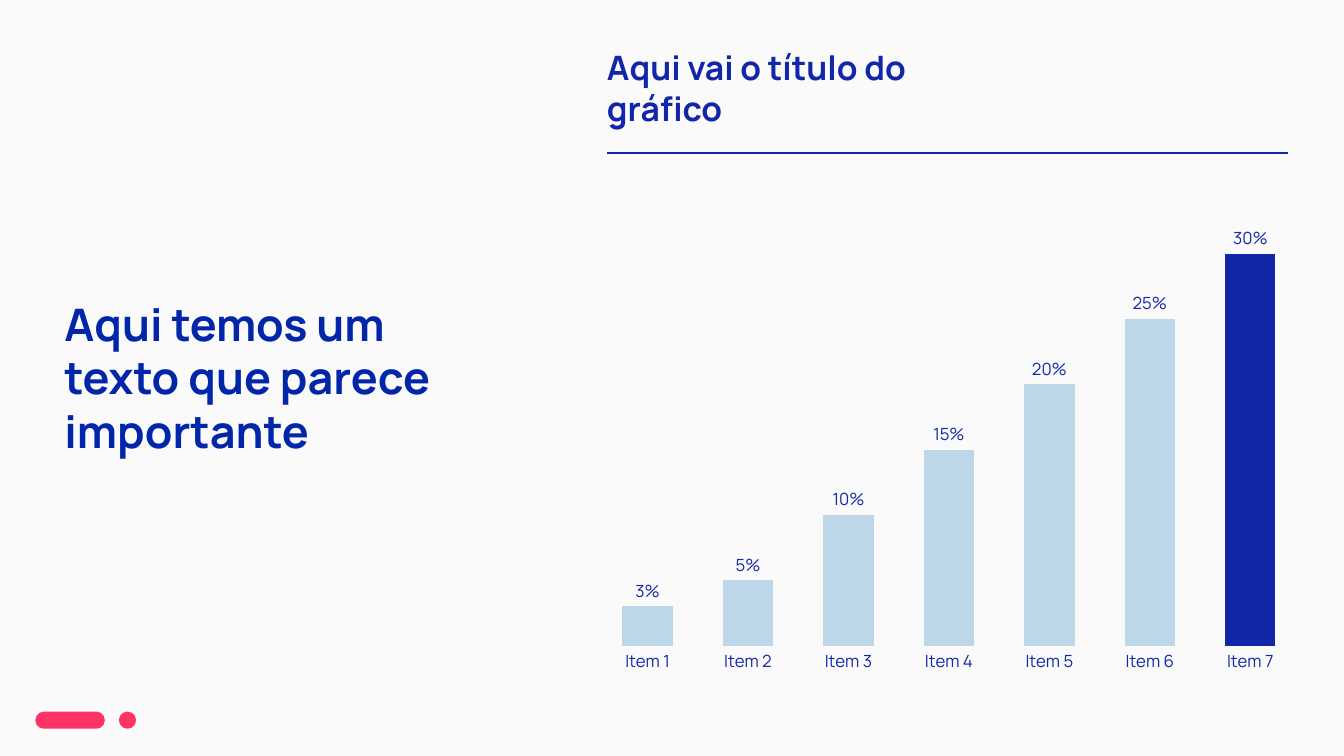
from dataclasses import dataclass

from lxml import etree
from pptx import Presentation
from pptx.chart.chart import Chart
from pptx.chart.data import CategoryChartData
from pptx.dml.color import RGBColor
from pptx.enum.chart import XL_CHART_TYPE, XL_LABEL_POSITION, XL_TICK_MARK
from pptx.enum.shapes import MSO_CONNECTOR, MSO_SHAPE
from pptx.oxml import parse_xml
from pptx.oxml.ns import nsdecls, qn
from pptx.slide import Slide
from pptx.util import Inches, Pt

COLUMN = XL_CHART_TYPE.COLUMN_CLUSTERED
OUTSIDE = XL_LABEL_POSITION.OUTSIDE_END
NO_TICK = XL_TICK_MARK.NONE
ROUND = MSO_SHAPE.ROUNDED_RECTANGLE
STRAIGHT = MSO_CONNECTOR.STRAIGHT


@dataclass(frozen=True)
class Theme:
    font: str = "Manrope"
    back: RGBColor = RGBColor(0xFA, 0xFA, 0xFA)
    navy: RGBColor = RGBColor(0x12, 0x26, 0xAA)
    blue: RGBColor = RGBColor(0x01, 0x26, 0xAA)
    pale: RGBColor = RGBColor(0xBD, 0xD7, 0xE8)
    pink: RGBColor = RGBColor(0xFF, 0x33, 0x66)
    large: int = 32
    medium: int = 24
    small: int = 12


@dataclass(frozen=True)
class Label:
    text: str
    left: float
    top: float
    width: float
    height: float
    inset: float
    size: int
    color: RGBColor


@dataclass(frozen=True)
class Pill:
    left: float
    width: float


THEME = Theme()
LABELS = [
    Label("Aqui temos um texto que parece importante",
          0.54, 2.84, 4.19, 1.82, 0.1, THEME.large, THEME.blue),
    Label("Aqui vai o título do gráfico",
          6.02, 0.47, 3.05, 0.81, 0, THEME.medium, THEME.navy),
]
PILLS = [Pill(0.35, 0.69), Pill(1.18, 0.17)]
VALUES = [0.03, 0.05, 0.1, 0.15, 0.2, 0.25, 0.3]
PLOT = {"x": 0.005, "y": 0.034, "w": 0.995, "h": 0.873}


def add_pill(slide: Slide, pill: Pill) -> None:
    shape = slide.shapes.add_shape(
        ROUND, Inches(pill.left), Inches(7.06), Inches(pill.width), Inches(0.17))
    shape.adjustments[0] = 0.5
    shape.shadow.inherit = False
    shape.fill.solid()
    shape.fill.fore_color.rgb = THEME.pink
    shape.line.fill.background()


def add_label(slide: Slide, label: Label) -> None:
    box = slide.shapes.add_textbox(
        Inches(label.left), Inches(label.top), Inches(label.width), Inches(label.height))
    frame = box.text_frame
    frame.word_wrap = True
    frame.margin_left = frame.margin_right = Inches(label.inset)
    frame.margin_top = frame.margin_bottom = Inches(label.inset)
    frame.text = label.text
    font = frame.paragraphs[0].runs[0].font
    font.name = THEME.font
    font.size = Pt(label.size)
    font.bold = True
    font.color.rgb = label.color


def add_rule(slide: Slide) -> None:
    rule = slide.shapes.add_connector(
        STRAIGHT, Inches(6.02), Inches(1.52), Inches(12.77), Inches(1.52))
    rule.line.color.rgb = THEME.navy
    rule.line.width = Pt(1.5)
    etree.SubElement(rule._element.spPr, qn("a:effectLst"))


def place_plot(chart: Chart) -> None:
    modes = "".join(f'<c:{key}Mode val="edge"/>' for key in "xy")
    sizes = "".join(f'<c:{key} val="{size}"/>' for key, size in PLOT.items())
    layout = parse_xml(
        f'<c:layout {nsdecls("c")}><c:manualLayout><c:layoutTarget val="inner"/>'
        f"{modes}{sizes}</c:manualLayout></c:layout>")
    area = chart._chartSpace.chart.plotArea
    for old in area.findall(qn("c:layout")):
        area.remove(old)
    area.insert(0, layout)


def add_columns(slide: Slide) -> None:
    data = CategoryChartData(number_format="0%")
    data.categories = [f"Item {index}" for index in range(1, len(VALUES) + 1)]
    data.add_series("Series 1", VALUES)
    chart = slide.shapes.add_chart(
        COLUMN, Inches(5.89), Inches(1.69), Inches(7.01), Inches(5.2), data).chart
    chart.has_legend = False
    chart.has_title = False
    chart.font.name = THEME.font
    chart.font.size = Pt(THEME.small)
    chart.font.color.rgb = THEME.navy

    axis = chart.category_axis
    axis.major_tick_mark = axis.minor_tick_mark = NO_TICK
    axis.format.line.fill.background()
    scale = chart.value_axis
    scale.minimum_scale, scale.maximum_scale = 0, 0.35
    scale.has_major_gridlines = False
    scale.visible = False

    plot = chart.plots[0]
    plot.vary_by_categories = False
    plot.gap_width, plot.overlap = 100, -27
    series = plot.series[0]
    series.format.fill.solid()
    series.format.fill.fore_color.rgb = THEME.pale
    accent = series.points[len(VALUES) - 1].format.fill
    accent.solid()
    accent.fore_color.rgb = THEME.navy

    labels = series.data_labels
    labels.show_value = True
    labels.position = OUTSIDE
    labels.number_format = "0%"
    labels.number_format_is_linked = False
    labels.font.name = THEME.font
    labels.font.size = Pt(THEME.small)
    labels.font.color.rgb = THEME.navy
    place_plot(chart)


def main() -> None:
    deck = Presentation()
    deck.slide_width, deck.slide_height = Inches(13.33), Inches(7.5)
    slide = deck.slides.add_slide(deck.slide_layouts[6])
    slide.background.fill.solid()
    slide.background.fill.fore_color.rgb = THEME.back
    for pill in PILLS:
        add_pill(slide, pill)
    add_columns(slide)
    for label in LABELS:
        add_label(slide, label)
    add_rule(slide)
    deck.save("out.pptx")


if __name__ == "__main__":
    main()
